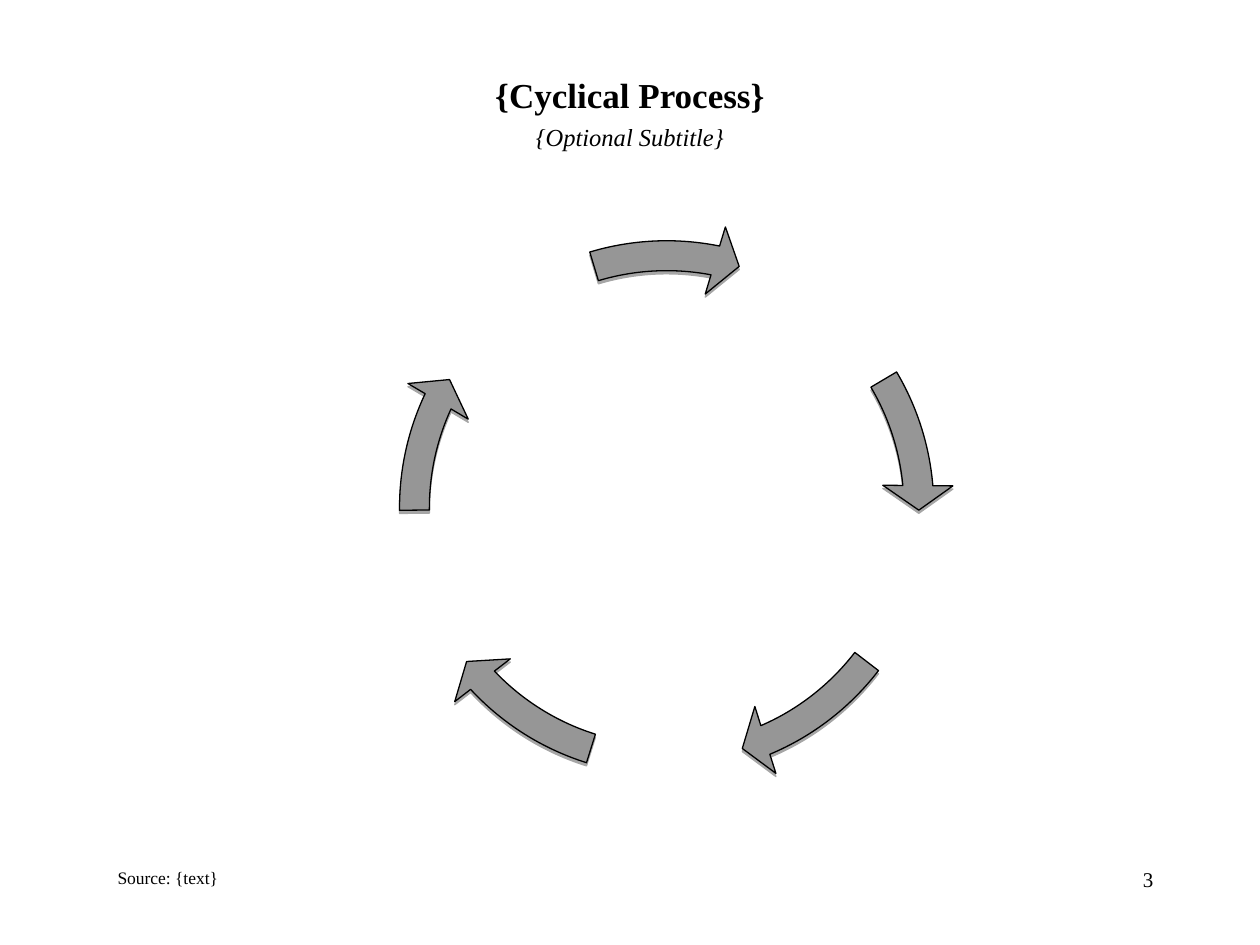
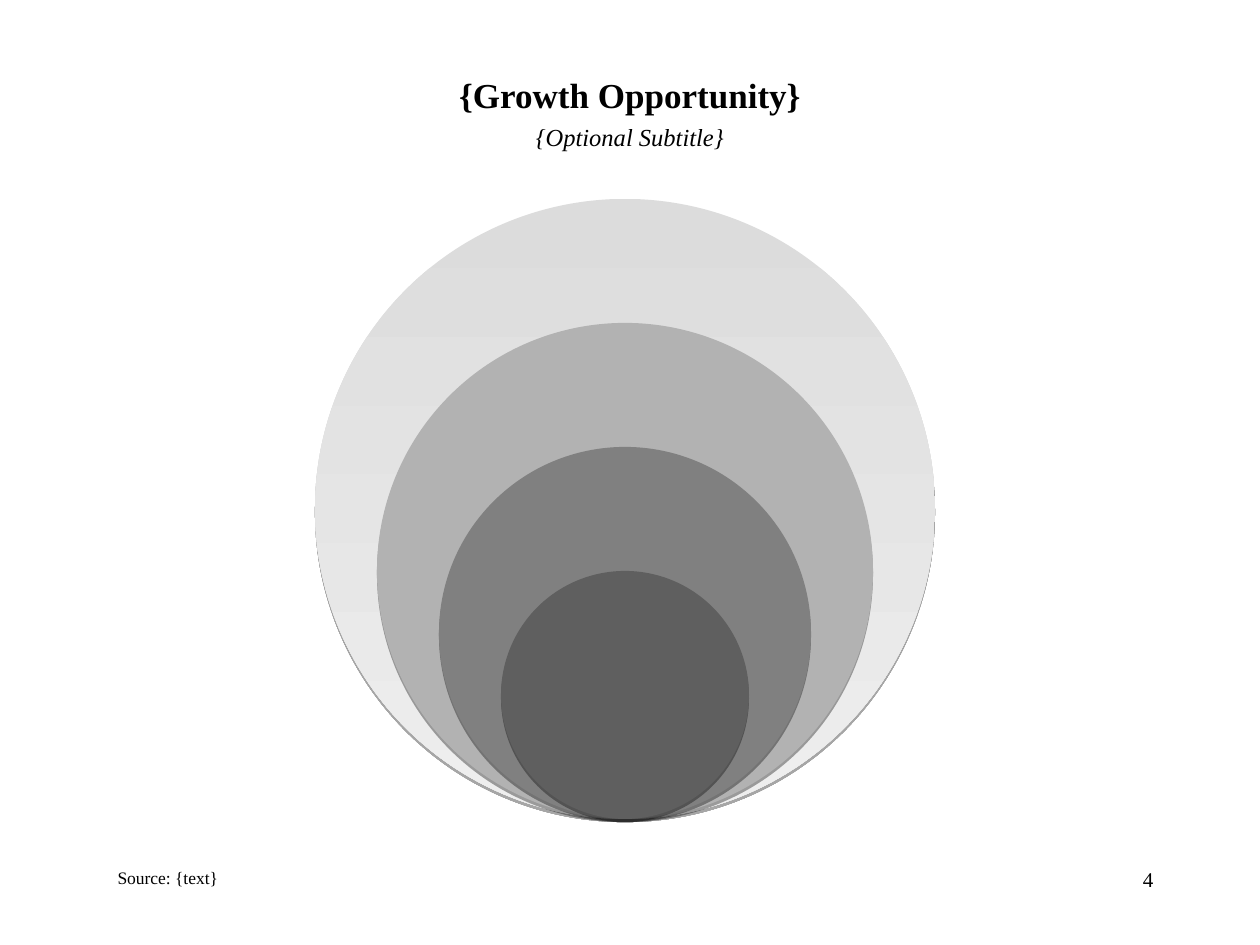
from lxml import etree
from pptx import Presentation
from pptx import util as u
from pptx.dml.color import RGBColor
from pptx.enum import shapes, text
from pptx.oxml import ns

BLACK = RGBColor(0x00, 0x00, 0x00)
STEEL = RGBColor(0x96, 0x96, 0x96)
PALE = RGBColor(0xDC, 0xDC, 0xDC)
MIST = RGBColor(0xEE, 0xEE, 0xEE)
SILVER = RGBColor(0xB2, 0xB2, 0xB2)
GRAY = RGBColor(0x80, 0x80, 0x80)
DARK = RGBColor(0x5F, 0x5F, 0x5F)
FONT = "Times New Roman"
LEFT, MID, RIGHT = text.PP_ALIGN.LEFT, text.PP_ALIGN.CENTER, text.PP_ALIGN.RIGHT


def label(slide, words, box, size, align, before=0, bold=False, slant=False):
    frame = slide.shapes.add_textbox(*[u.Cm(n) for n in box]).text_frame
    frame.word_wrap = True
    para = frame.paragraphs[0]
    para.text = words
    para.alignment = align
    para.space_before = u.Pt(before)
    font = para.font
    font.name, font.size, font.color.rgb = FONT, u.Pt(size), BLACK
    font.bold, font.italic = bold, slant
    return frame


def shade(shape):
    shape.shadow.inherit = False
    list_ = shape._element.spPr.find(ns.qn("a:effectLst"))
    cast = etree.SubElement(list_, ns.qn("a:outerShdw"), blurRad="0",
                            dist=str(u.Pt(1.8)), dir="5400000", rotWithShape="0")
    tint = etree.SubElement(cast, ns.qn("a:srgbClr"), val=str(BLACK))
    etree.SubElement(tint, ns.qn("a:alpha"), val="35000")


deck = Presentation()
deck.slide_width, deck.slide_height = u.Cm(25.4), u.Cm(19.05)

pages = []
for num, title in enumerate(["{Cyclical Process}", "{Growth Opportunity}"], 3):
    page = deck.slides.add_slide(deck.slide_layouts[6])
    label(page, str(num), (18.2, 17.35, 5.3, 1.27), 12, RIGHT)
    head = label(page, title, (1.9, 1.27, 21.6, 1.27), 20, MID, bold=True)
    head.vertical_anchor = text.MSO_ANCHOR.MIDDLE
    label(page, "{Optional Subtitle}", (1.9, 2.33, 21.6, 0.85), 14, MID, 7, slant=True)
    label(page, "Source: {text}", (2.12, 17.35, 19.05, 0.68), 10, LEFT, 5)
    pages.append(page)
cycle, growth = pages

group = cycle.shapes.add_group_shape()
ring = [u.Cm(n) for n in (7.65, 4.45, 11.58, 11.58)]
turns = [(354.92, 329.41), (66.95, 37.52), (136.89, 107.46),
         (205.0, 179.49), (281.13, 253.28)]
for end, start in turns:
    arrow = group.shapes.add_shape(shapes.MSO_SHAPE.CIRCULAR_ARROW, *ring)
    angles = [deg * 0.6 for deg in (5.59, end, start)]
    for spot, size in enumerate([0.052, *angles, 0.061]):
        arrow.adjustments[spot] = size
    arrow.fill.solid()
    arrow.fill.fore_color.rgb = STEEL
    arrow.line.color.rgb = BLACK
    arrow.line.width = u.Pt(0)
    shade(arrow)

group = growth.shapes.add_group_shape()
axis, base, wide = 12.6, 16.51, 12.5
for step, tone in enumerate([PALE, SILVER, GRAY, DARK]):
    size = wide * (1 - step / 5)
    disc = group.shapes.add_shape(shapes.MSO_SHAPE.OVAL, u.Cm(axis - size / 2),
                                  u.Cm(base - size), u.Cm(size), u.Cm(size))
    if tone == PALE:
        disc.fill.gradient()
        disc.fill.gradient_angle = 270
        for stop, hue in zip(disc.fill.gradient_stops, (PALE, MIST)):
            stop.color.rgb = hue
    else:
        disc.fill.solid()
        disc.fill.fore_color.rgb = tone
    disc.line.fill.background()
    shade(disc)

deck.save("out.pptx")
